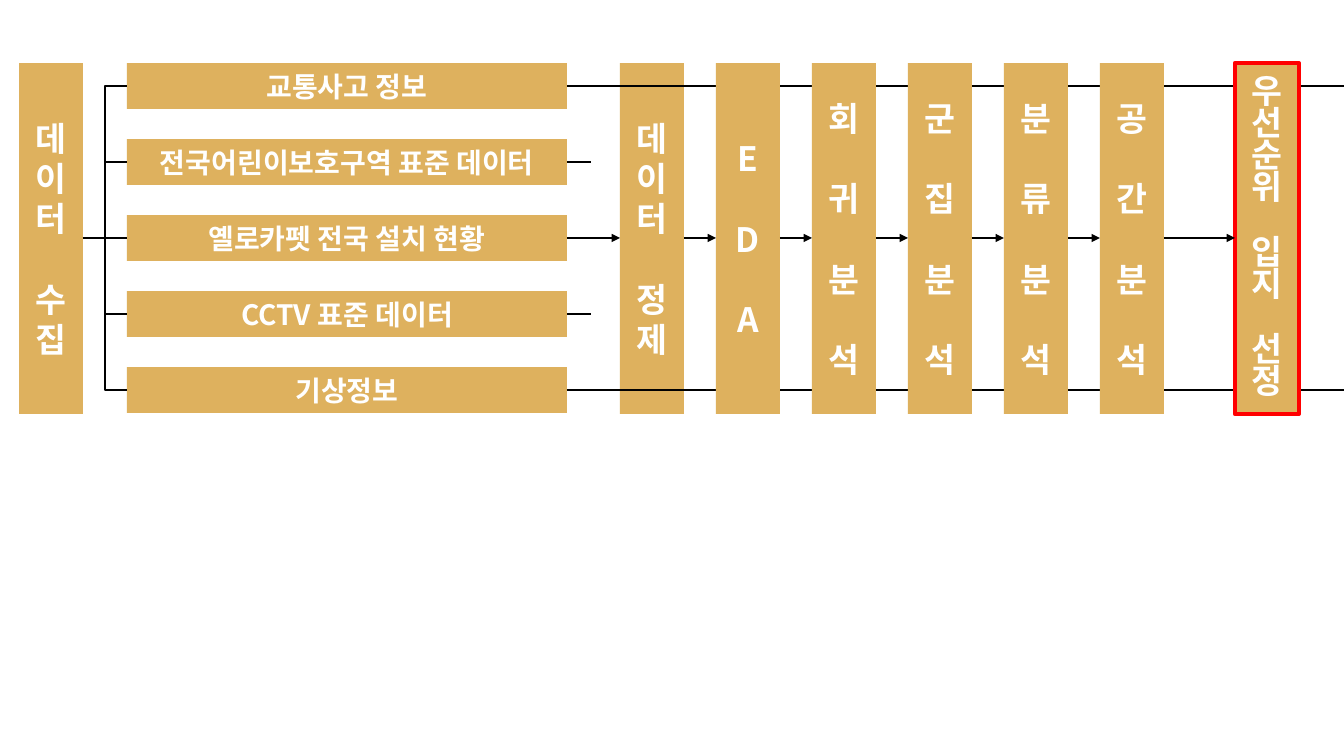
from dataclasses import dataclass

from lxml import etree
from pptx import Presentation
from pptx import util as u
from pptx.dml import color
from pptx.enum import shapes, text
from pptx.oxml import ns

COLOURS = {"gold": "DEB15E", "white": "FFFFFF", "black": "000000", "red": "FF0000"}
FONT = "Noto Sans CJK KR"
PAGE_WIDTH, PAGE_HEIGHT = 1344, 756
EMU_PER_PX = u.Inches(1) / 100.8

TOP, STAGE_WIDTH, STAGE_HEIGHT = 63, 64, 351
SOURCE_LEFT, SOURCE_WIDTH, SOURCE_HEIGHT, SOURCE_PITCH = 127, 440, 46, 76
SOURCE_RIGHT = SOURCE_LEFT + SOURCE_WIDTH
TRUNK_X, MERGE_X = 105, 591
STAGE_LEFT, STAGE_PITCH = 620, 96

SOURCES = [
    "교통사고 정보",
    "전국어린이보호구역 표준 데이터",
    "옐로카펫 전국 설치 현황",
    "CCTV 표준 데이터",
    "기상정보",
]
ROWS = [TOP + SOURCE_HEIGHT // 2 + SOURCE_PITCH * i for i in range(len(SOURCES))]
FIRST_ROW, MIDDLE_ROW, LAST_ROW = ROWS[0], ROWS[2], ROWS[-1]


@dataclass(frozen=True)
class Stage:
    left: int
    words: list[str]
    spacing: float = 1.0
    outline: str | None = None

    @property
    def right(self) -> int:
        return self.left + STAGE_WIDTH


COLLECTION = Stage(19, ["데이터", "수집"])
STEPS = [["데이터", "정제"], *map(list, ["EDA", "회귀분석", "군집분석", "분류분석", "공간분석"])]
STAGES = [Stage(STAGE_LEFT + STAGE_PITCH * i, words) for i, words in enumerate(STEPS)]
STAGES.append(Stage(1235, ["우선순위", "입지", "선정"], 0.8, "red"))


def px(length: int) -> u.Emu:
    return u.Emu(round(length * EMU_PER_PX))


def rgb(name: str) -> color.RGBColor:
    return color.RGBColor.from_string(COLOURS[name])


def write(frame, paragraphs: list[str], *, size: int, spacing: float = 1.0, gap: float = 0) -> None:
    frame.word_wrap = True
    frame.vertical_anchor = text.MSO_ANCHOR.MIDDLE
    for index, words in enumerate(paragraphs):
        para = frame.add_paragraph() if index else frame.paragraphs[0]
        para.alignment = text.PP_ALIGN.CENTER
        para.line_spacing = spacing
        if index:
            para.space_before = u.Pt(gap)
        span = para.add_run()
        span.text = words
        span.font.size = u.Pt(size)
        span.font.bold = True
        span.font.name = FONT
        span.font.color.rgb = rgb("white")
        etree.SubElement(span._r.get_or_add_rPr(), ns.qn("a:ea"), typeface=FONT)


def add_box(page, left: int, top: int, width: int, height: int, outline: str | None = None):
    box = page.shapes.add_shape(
        shapes.MSO_SHAPE.RECTANGLE, px(left), px(top), px(width), px(height)
    )
    box.shadow.inherit = False
    box.fill.solid()
    box.fill.fore_color.rgb = rgb("gold")
    if outline:
        box.line.color.rgb = rgb(outline)
        box.line.width = u.Pt(3)
    else:
        box.line.fill.background()
    return box


def add_stage(page, stage: Stage) -> None:
    box = add_box(page, stage.left, TOP, STAGE_WIDTH, STAGE_HEIGHT, stage.outline)
    write(box.text_frame, stage.words, size=24, spacing=stage.spacing, gap=28.8 * stage.spacing)


def add_line(
    page, start: tuple[int, int], end: tuple[int, int], *, elbow: bool = False, arrow: bool = False
) -> None:
    kind = shapes.MSO_CONNECTOR.ELBOW if elbow else shapes.MSO_CONNECTOR.STRAIGHT
    line = page.shapes.add_connector(kind, *map(px, start + end))
    line.line.color.rgb = rgb("black")
    line.line.width = u.Pt(1)
    properties = line._element.spPr
    if arrow:
        etree.SubElement(properties.find(ns.qn("a:ln")), ns.qn("a:tailEnd"), type="triangle")
    etree.SubElement(properties, ns.qn("a:effectLst"))


def main() -> None:
    deck = Presentation()
    deck.slide_width, deck.slide_height = px(PAGE_WIDTH), px(PAGE_HEIGHT)
    page = deck.slides.add_slide(deck.slide_layouts[6])

    add_stage(page, COLLECTION)
    for row, source in zip(ROWS, SOURCES):
        box = add_box(page, SOURCE_LEFT, row - SOURCE_HEIGHT // 2, SOURCE_WIDTH, SOURCE_HEIGHT)
        write(box.text_frame, [source], size=20)

    for row in (FIRST_ROW, LAST_ROW):
        add_line(page, (COLLECTION.right, MIDDLE_ROW), (SOURCE_LEFT, row), elbow=True)
    for row in ROWS[1:-1]:
        add_line(page, (SOURCE_LEFT, row), (TRUNK_X, row))

    cleaning, *analyses = STAGES
    add_stage(page, cleaning)
    for row in (FIRST_ROW, LAST_ROW):
        add_line(page, (SOURCE_RIGHT, row), (PAGE_WIDTH, row))
    for row in ROWS[1:-1]:
        add_line(page, (SOURCE_RIGHT, row), (MERGE_X, row))
    add_line(page, (MERGE_X, MIDDLE_ROW), (cleaning.left, MIDDLE_ROW), arrow=True)

    for stage in analyses:
        add_stage(page, stage)
    for stage, following in zip(STAGES, analyses):
        add_line(page, (stage.right, MIDDLE_ROW), (following.left, MIDDLE_ROW), arrow=True)

    deck.save("out.pptx")


if __name__ == "__main__":
    main()
